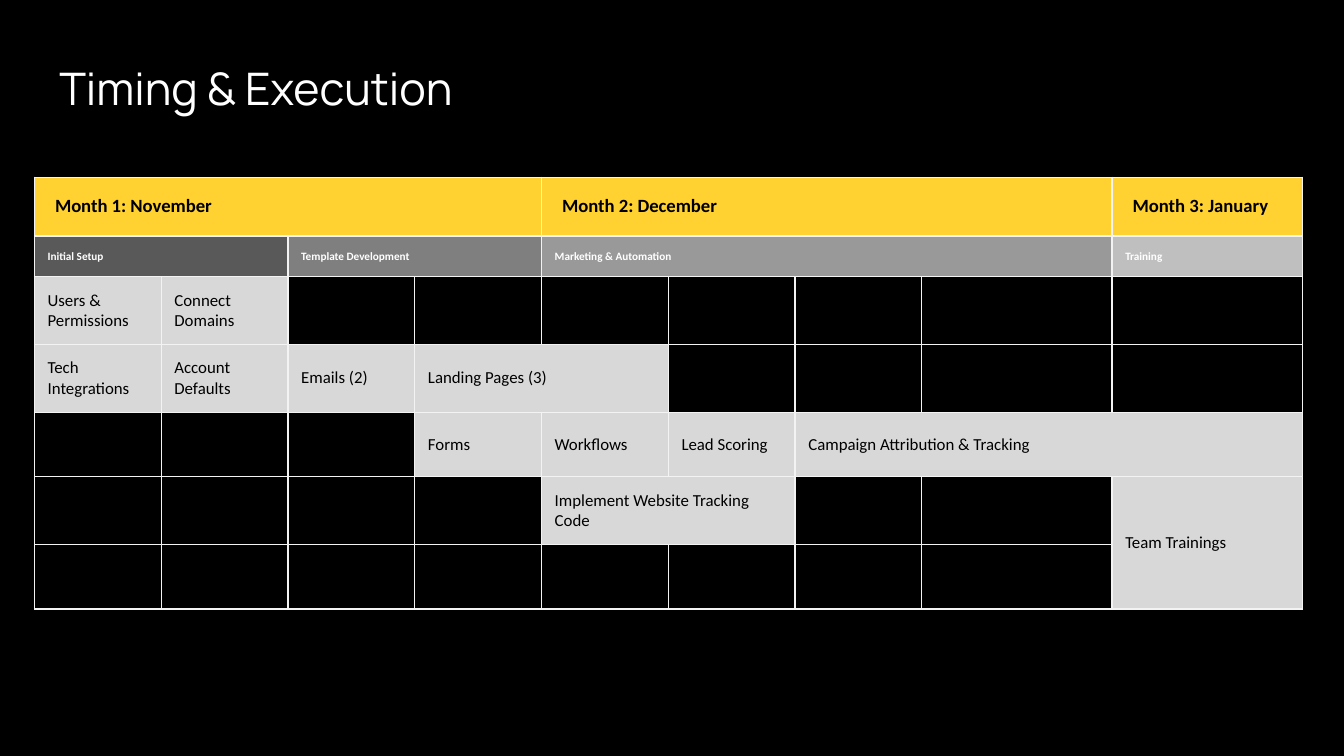
from lxml.etree import SubElement
from pptx import Presentation
from pptx.dml.color import RGBColor
from pptx.enum.text import MSO_ANCHOR, PP_ALIGN
from pptx.oxml.ns import qn
from pptx.util import Cm, Pt

BLACK = RGBColor(0x00, 0x00, 0x00)
WHITE = RGBColor(0xFF, 0xFF, 0xFF)
YELLOW = RGBColor(0xFF, 0xD1, 0x31)
TASK_GREY = RGBColor(0xD8, 0xD8, 0xD8)
SETUP_GREY = RGBColor(0x59, 0x59, 0x59)
TEMPLATE_GREY = RGBColor(0x7F, 0x7F, 0x7F)
MARKETING_GREY = RGBColor(0x99, 0x99, 0x99)
TRAINING_GREY = RGBColor(0xBF, 0xBF, 0xBF)
GRID = RGBColor(0xF3, 0xF3, 0xF3)

COLUMN_WEIGHTS = [2] * 7 + [3, 1, 2]
ROW_HEIGHTS = [1.11, 0.77, 1.28, 1.28, 1.22, 1.28, 1.22]
INSET = Cm(0.25)

MONTHS = [
    ("Month 1: November", 0, 4),
    ("Month 2: December", 4, 4),
    ("Month 3: January", 8, 2),
]
PHASES = [
    ("Initial Setup", 0, 2, SETUP_GREY),
    ("Template Development", 2, 2, TEMPLATE_GREY),
    ("Marketing & Automation", 4, 4, MARKETING_GREY),
    ("Training", 8, 2, TRAINING_GREY),
]
TASKS = [
    ("Users & Permissions", 2, 0, 1, 1),
    ("Connect Domains", 2, 1, 1, 1),
    ("Tech Integrations", 3, 0, 1, 1),
    ("Account Defaults", 3, 1, 1, 1),
    ("Emails (2)", 3, 2, 1, 1),
    ("Landing Pages (3)", 3, 3, 1, 2),
    ("Forms", 4, 3, 1, 1),
    ("Workflows", 4, 4, 1, 1),
    ("Lead Scoring", 4, 5, 1, 1),
    ("Campaign Attribution & Tracking", 4, 6, 1, 4),
    ("Implement Website Tracking Code", 5, 4, 1, 2),
    ("Team Trainings", 5, 8, 2, 2),
]
FREE_PAIRS = [(2, 8), (3, 8)]


def place_title(slide, left, top, width, height):
    title = slide.shapes.title
    title.left, title.top, title.width, title.height = left, top, width, height
    frame = title.text_frame
    frame.text = "Timing & Execution"
    frame.word_wrap = True
    frame.vertical_anchor = MSO_ANCHOR.TOP
    frame.margin_left = frame.margin_right = INSET
    frame.margin_top = frame.margin_bottom = INSET
    heading = frame.paragraphs[0]
    heading.alignment = PP_ALIGN.LEFT
    font = heading.runs[0].font
    font.name, font.size, font.color.rgb = "Manrope", Pt(24), WHITE


def prepare_cell(cell):
    cell.margin_top = cell.margin_bottom = 0
    properties = cell._tc.get_or_add_tcPr()
    for side in ("a:lnL", "a:lnR", "a:lnT", "a:lnB"):
        border = SubElement(properties, qn(side), w=str(Pt(0.75)))
        fill = SubElement(border, qn("a:solidFill"))
        SubElement(fill, qn("a:srgbClr"), val=str(GRID))
    cell.fill.background()
    SubElement(cell.text_frame.paragraphs[0]._p, qn("a:endParaRPr"), sz="600")


def fill_block(table, text, row, column, rows, columns, fill, color, size,
               bold=False, indent=INSET):
    block = table.cell(row, column)
    if rows * columns > 1:
        block.merge(table.cell(row + rows - 1, column + columns - 1))
    block.text_frame.text = text
    block.vertical_anchor = MSO_ANCHOR.MIDDLE
    block.margin_left = indent
    block.margin_right = block.margin_top = block.margin_bottom = INSET
    block.fill.solid()
    block.fill.fore_color.rgb = fill
    font = block.text_frame.paragraphs[0].runs[0].font
    font.name, font.size, font.bold = "Calibri", Pt(size), bold
    font.color.rgb = color


def place_schedule(slide, left, top, width, height):
    table = slide.shapes.add_table(
        len(ROW_HEIGHTS), len(COLUMN_WEIGHTS), left, top, width, height).table
    table.first_row = table.horz_banding = False
    for column, weight in zip(table.columns, COLUMN_WEIGHTS):
        column.width = int(width * weight / sum(COLUMN_WEIGHTS))
    for row, share in zip(table.rows, ROW_HEIGHTS):
        row.height = int(height * share / sum(ROW_HEIGHTS))
    for cell in table.iter_cells():
        prepare_cell(cell)

    for text, column, span in MONTHS:
        fill_block(table, text, 0, column, 1, span, YELLOW, BLACK, 10,
                   bold=True, indent=Cm(0.39))
    for text, column, span, shade in PHASES:
        fill_block(table, text, 1, column, 1, span, shade, WHITE, 6, bold=True)
    for text, row, column, rows, columns in TASKS:
        fill_block(table, text, row, column, rows, columns, TASK_GREY, BLACK, 9)
    for row, column in FREE_PAIRS:
        table.cell(row, column).merge(table.cell(row, column + 1))


def main():
    deck = Presentation()
    deck.slide_width, deck.slide_height = Cm(25.4), Cm(14.29)
    slide = deck.slides.add_slide(deck.slide_layouts[5])
    slide.background.fill.solid()
    slide.background.fill.fore_color.rgb = BLACK
    place_title(slide, Cm(0.87), Cm(0.89), Cm(23.67), Cm(1.6))
    place_schedule(slide, Cm(0.65), Cm(3.35), Cm(23.96), Cm(sum(ROW_HEIGHTS)))
    deck.save("out.pptx")


if __name__ == "__main__":
    main()
